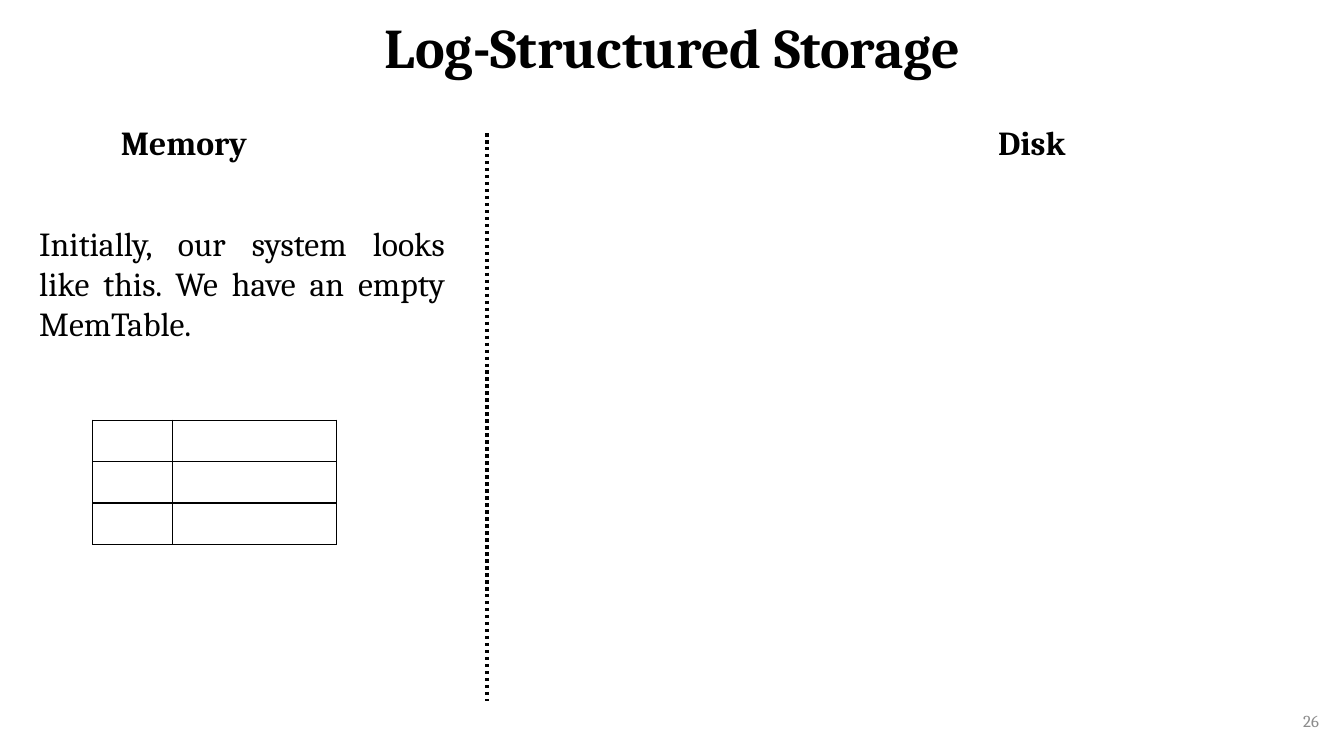
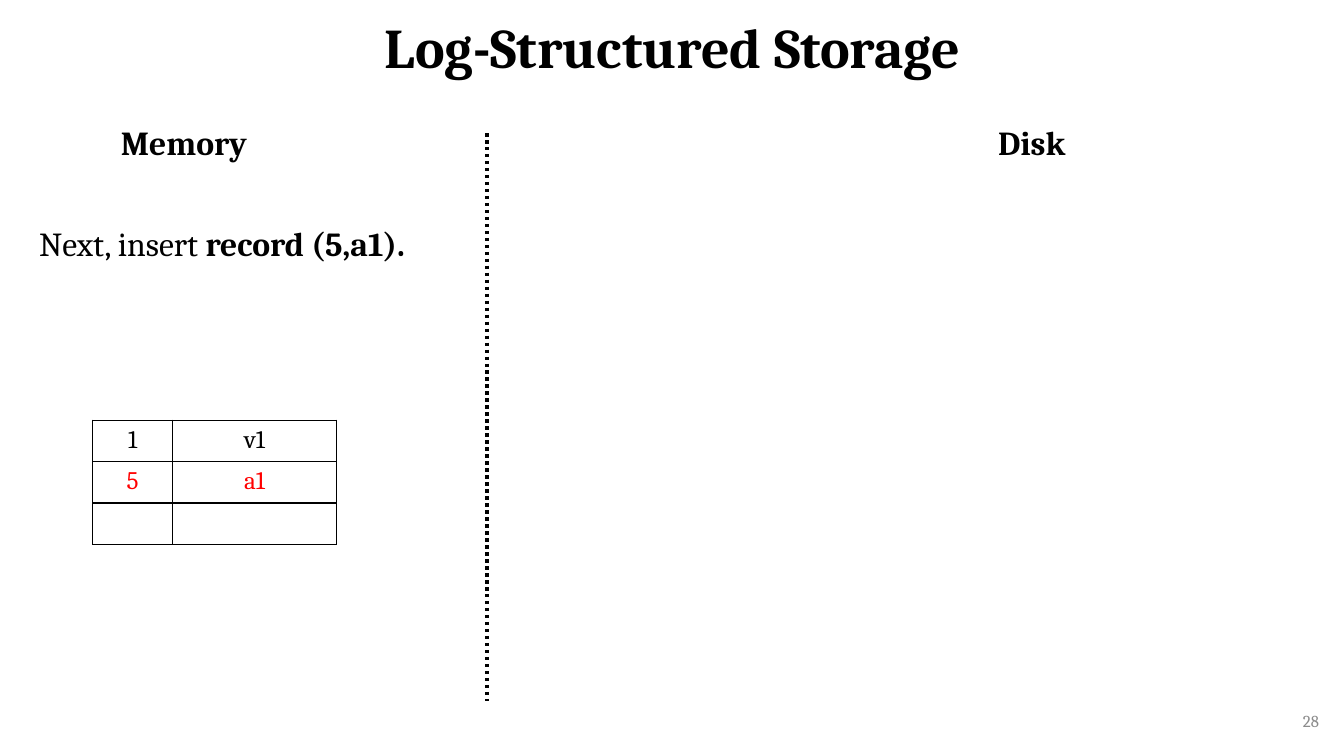
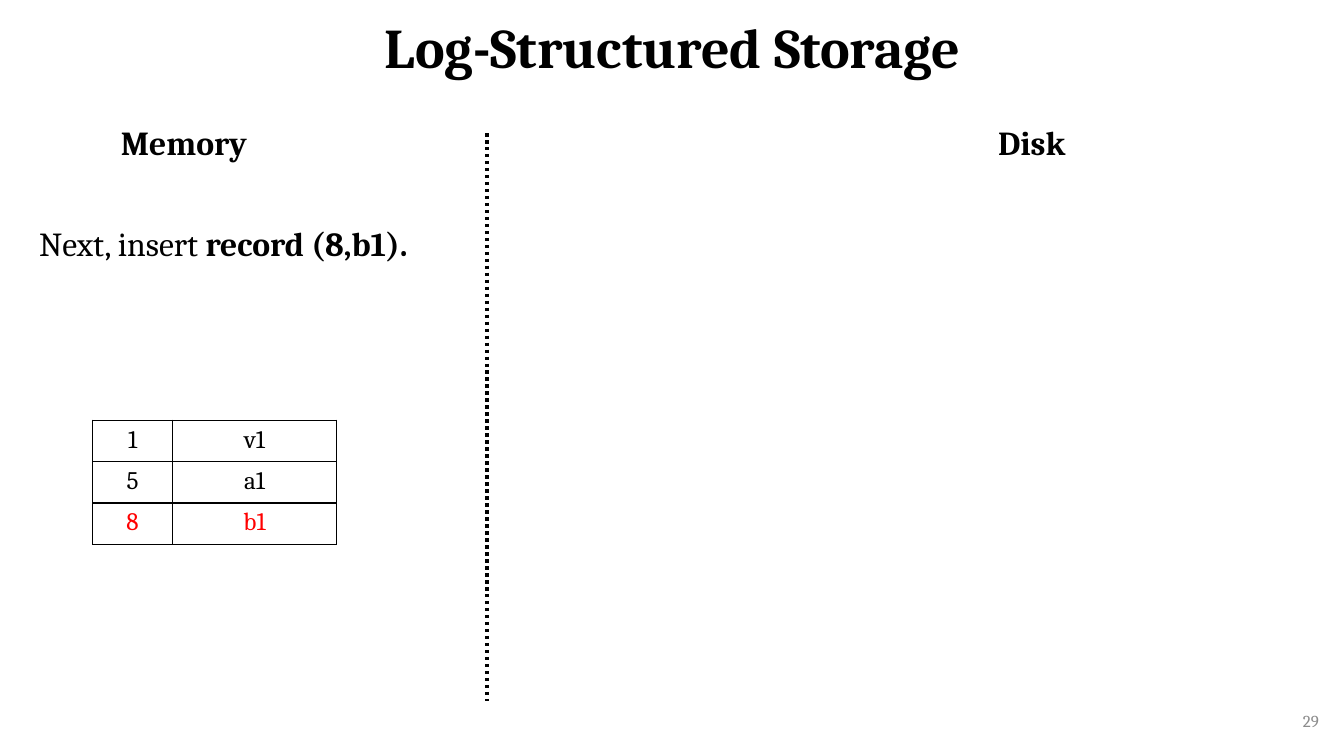
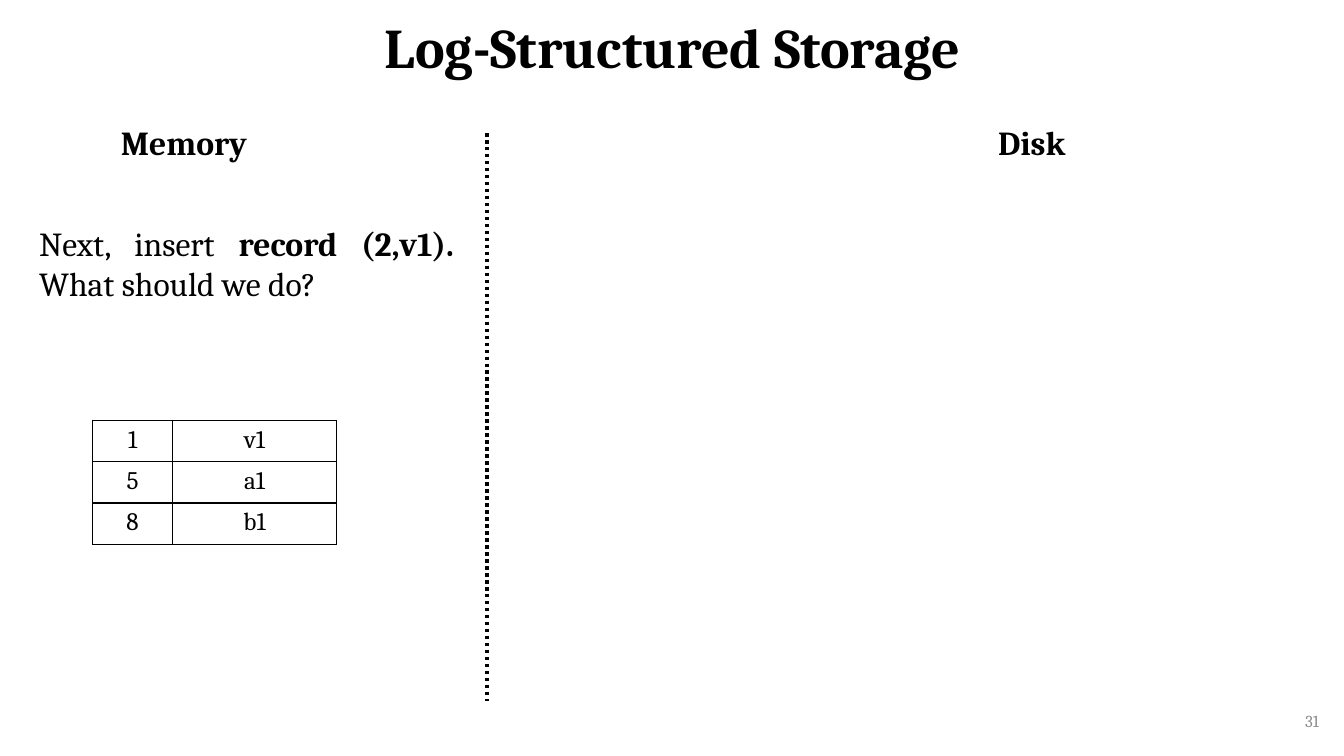
"""Build four slides that step through inserts into a log-structured MemTable."""
from lxml.etree import SubElement
from pptx import Presentation
from pptx.dml.color import RGBColor
from pptx.enum.dml import MSO_LINE
from pptx.enum.shapes import MSO_CONNECTOR
from pptx.enum.text import MSO_ANCHOR, PP_ALIGN
from pptx.oxml.ns import qn
from pptx.util import Inches, Pt

TITLE = "Log-Structured Storage"
HEADINGS = [("Memory", 1.1, 1.51), ("Disk", 9.8, 0.95)]
RECORDS = [("1", "v1"), ("5", "a1"), ("8", "b1")]
STEPS = [
    {"number": "26", "filled": 0, "new": None, "width": 4.22,
     "message": [("Initially, our system looks like this. We have an empty MemTable.", False)]},
    {"number": "28", "filled": 2, "new": 1, "width": 4.31,
     "message": [("Next, insert ", False), ("record (5,a1).", True)]},
    {"number": "29", "filled": 3, "new": 2, "width": 4.31,
     "message": [("Next, insert ", False), ("record (8,b1).", True)]},
    {"number": "31", "filled": 3, "new": None, "width": 4.31,
     "message": [("Next, insert ", False), ("record (2,v1). ", True),
                 ("What should we do?", False)]},
]

FONT = "Cambria"
BLACK, WHITE, RED, GREY = "000000", "FFFFFF", "FF0000", "8C8C8C"
WIDTH, HEIGHT = 13.33, 7.5
DIVIDER_X, DIVIDER_TOP, DIVIDER_BOTTOM = 4.83, 1.32, 6.95
COLUMNS, ROW_HEIGHT = (0.79, 1.63), 0.41


def color(value):
    """Turn a hex string into a colour."""
    return RGBColor.from_string(value)


def write(frame, runs, size, ink=BLACK, bold=False, align=PP_ALIGN.LEFT):
    """Fill the first paragraph with (text, bold) runs in the shared font."""
    paragraph = frame.paragraphs[0]
    paragraph.alignment = align
    font = paragraph.font
    font.name, font.size, font.bold = FONT, Pt(size), bold
    font.color.rgb = color(ink)
    for text, strong in runs:
        run = paragraph.add_run()
        run.text = text
        if strong:
            run.font.bold = True
    return paragraph


def add_text(slide, box, runs, size, wrap=True, anchor=MSO_ANCHOR.TOP, **style):
    """Add a text box and return its paragraph."""
    frame = slide.shapes.add_textbox(*map(Inches, box)).text_frame
    frame.word_wrap = wrap
    frame.vertical_anchor = anchor
    return write(frame, runs, size, **style)


def add_frame(slide, number):
    """Add the title, page number, divider and headings that all slides share."""
    title = slide.shapes.title
    title.left, title.top, title.width, title.height = map(Inches, (0.92, 0, 11.5, 0.99))
    title.text_frame.vertical_anchor = MSO_ANCHOR.MIDDLE
    write(title.text_frame, [(TITLE, False)], 40, bold=True,
          align=PP_ALIGN.CENTER).line_spacing = 0.9
    add_text(slide, (10.18, 6.95, 3, 0.4), [(number, False)], 12,
             anchor=MSO_ANCHOR.MIDDLE, ink=GREY, align=PP_ALIGN.RIGHT)
    divider = slide.shapes.add_connector(
        MSO_CONNECTOR.STRAIGHT,
        *map(Inches, (DIVIDER_X, DIVIDER_TOP, DIVIDER_X, DIVIDER_BOTTOM)))
    divider.line.color.rgb = color(BLACK)
    divider.line.width = Pt(2.5)
    divider.line.dash_style = MSO_LINE.ROUND_DOT
    SubElement(divider._element.spPr, qn("a:effectLst"))
    for heading, left, width in HEADINGS:
        add_text(slide, (left, 1.16, width, 0.5), [(heading, False)], 24,
                 wrap=False, bold=True)


def add_borders(cell):
    """Draw a thin black line on each side of a cell."""
    properties = cell._tc.get_or_add_tcPr()
    for side in ("lnL", "lnR", "lnT", "lnB"):
        border = SubElement(properties, qn(f"a:{side}"), w=str(Pt(1)))
        fill = SubElement(border, qn("a:solidFill"))
        SubElement(fill, qn("a:srgbClr"), val=BLACK)


def add_memtable(slide, filled, new):
    """Add the MemTable with its filled records, the new one in red."""
    table = slide.shapes.add_table(
        len(RECORDS), len(COLUMNS),
        *map(Inches, (0.92, 4.17, sum(COLUMNS), ROW_HEIGHT * len(RECORDS)))).table
    table.first_row = table.horz_banding = False
    for column, width in zip(table.columns, COLUMNS):
        column.width = Inches(width)
    for index, record in enumerate(RECORDS):
        table.rows[index].height = Inches(ROW_HEIGHT)
        for position, value in enumerate(record):
            cell = table.cell(index, position)
            add_borders(cell)
            cell.fill.solid()
            cell.fill.fore_color.rgb = color(WHITE)
            write(cell.text_frame, [(value, False)] if index < filled else [], 18,
                  ink=RED if index == new else BLACK, align=PP_ALIGN.CENTER)


def main():
    """Build and save the slides."""
    deck = Presentation()
    deck.slide_width, deck.slide_height = Inches(WIDTH), Inches(HEIGHT)
    for step in STEPS:
        slide = deck.slides.add_slide(deck.slide_layouts[5])
        add_frame(slide, step["number"])
        add_memtable(slide, step["filled"], step["new"])
        message = add_text(slide, (0.29, 2.16, step["width"], 1.34), step["message"], 24,
                           align=PP_ALIGN.JUSTIFY)
        message.space_before = Pt(10)
    deck.save("out.pptx")


if __name__ == "__main__":
    main()
